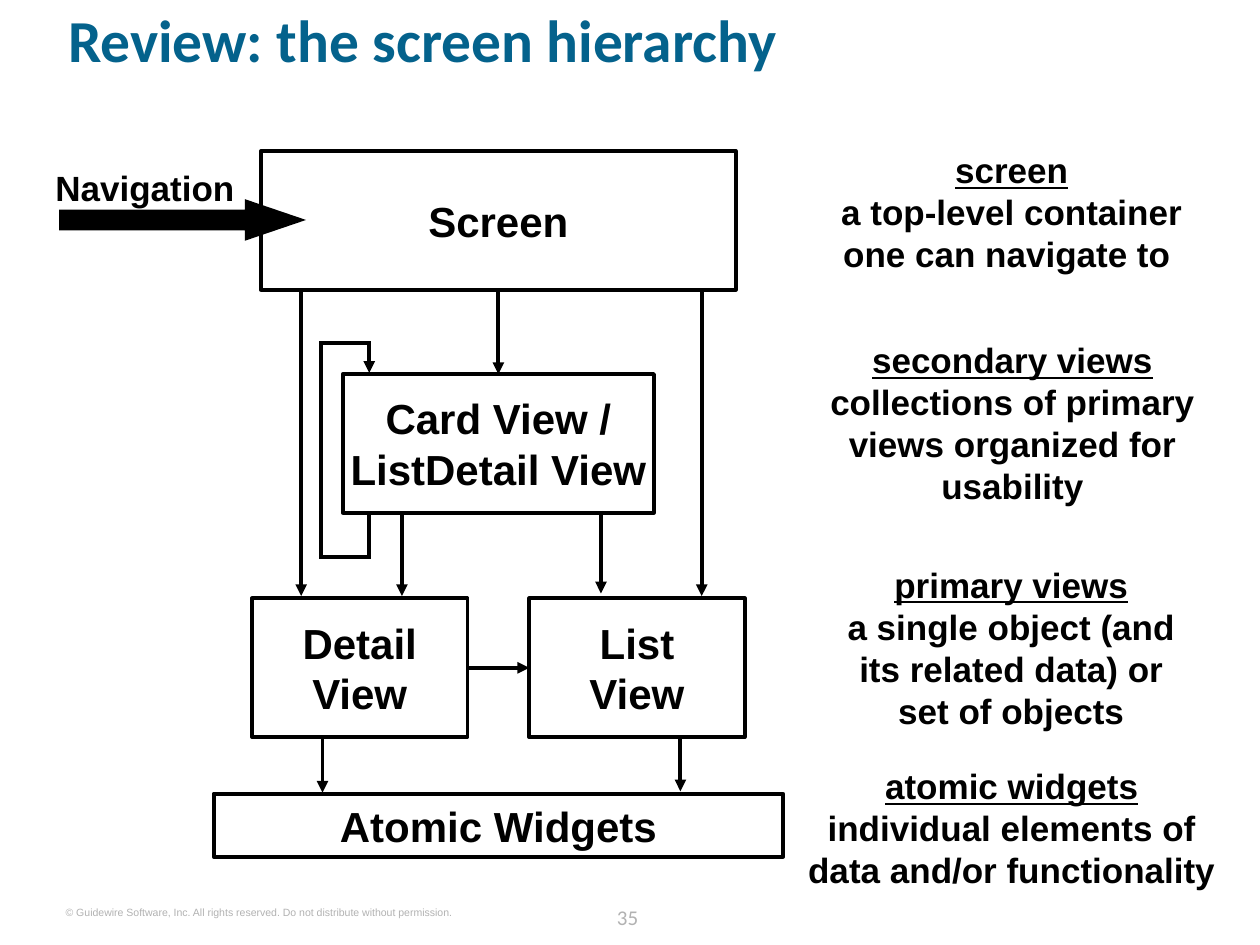
import itertools
from dataclasses import dataclass

import pptx
import pptx.util
from pptx.dml.color import RGBColor
from pptx.enum.shapes import MSO_CONNECTOR, MSO_SHAPE
from pptx.enum.text import MSO_ANCHOR, PP_ALIGN
from pptx.oxml.xmlchemy import OxmlElement

Pt = pptx.util.Pt
TOP, LEFT, BOTTOM, RIGHT = range(4)


@dataclass(frozen=True)
class Theme:
    ink: RGBColor = RGBColor(0x00, 0x00, 0x00)
    title: RGBColor = RGBColor(0x04, 0x62, 0x8C)
    muted: RGBColor = RGBColor(0xB2, 0xB2, 0xB2)
    heading_font: str = "Calibri"
    body_font: str = "Arial"
    title_size: int = 34
    box_size: int = 24
    note_size: int = 20
    number_size: int = 12
    footer_size: int = 6
    line_width: float = 2.25


THEME = Theme()
AXIS = 284.8  # horizontal centre of the hierarchy
BOX_HEIGHT = 79.2
VIEW_WIDTH = 123.2
VIEW_OFFSET = 79.2  # from the axis to the centre of each primary view
VIEW_TOP = 342

NOTES = [  # left, top, width, height, term, definition lines
    (457.2, 85, 241.9, 72, "screen",
     ["a top-level container", "one can navigate to "]),
    (463.7, 193.7, 229.7, 95.8, "secondary views",
     ["collections of primary views organized for usability"]),
    (477.4, 321.8, 200.9, 95.8, "primary views",
     ["a single object (and its related data) or set of objects"]),
    (461.5, 437, 233.3, 72, "atomic widgets",
     ["individual elements of data and/or functionality"]),
]
VERTICAL_ARROWS = [  # x, from y, to y
    (172.1, 165.6, 340.6),
    (401, 165.6, 340.6),
    (229.7, 293, 340.6),
    (343.4, 292, 339.1),
    (184.3, 421.9, 452.9),
    (388.8, 421.9, 452.2),
]
CARD_LOOP = [(211, 293), (211, 318.2), (183.6, 318.2),
             (183.6, 195.8), (211, 195.8), (211, 213.1)]


def set_format(target, values):
    for name, value in values.items():
        setattr(target, name, value)


def set_font(font, size, color=THEME.ink, **values):
    set_format(font, {"size": Pt(size), "name": THEME.body_font, **values})
    font.color.rgb = color


def prepare_frame(frame, **values):
    set_format(frame, {"margin_left": 0, "margin_right": 0, "margin_top": 0,
                       "margin_bottom": 0, "word_wrap": True, **values})
    return frame.paragraphs[0]


def add_title(slide, text):
    title = slide.shapes.title
    set_format(title, {"left": Pt(38.9), "top": Pt(9.4),
                       "width": Pt(655.2), "height": Pt(58.3)})
    paragraph = prepare_frame(title.text_frame, vertical_anchor=MSO_ANCHOR.TOP)
    paragraph.text = text
    set_format(paragraph, {"alignment": PP_ALIGN.LEFT, "line_spacing": 0.8})
    set_font(paragraph.font, THEME.title_size, THEME.title,
             name=THEME.heading_font, bold=True)


def add_text(slide, bounds, text, size, color=THEME.ink,
             alignment=PP_ALIGN.CENTER, wrap=True, **font_values):
    box = slide.shapes.add_textbox(*map(Pt, bounds))
    paragraph = prepare_frame(box.text_frame, word_wrap=wrap)
    paragraph.text = text
    paragraph.alignment = alignment
    set_font(paragraph.font, size, color, **font_values)
    return paragraph


def add_note(slide, bounds, term, lines):
    """Add an underlined term with its definition below."""
    paragraph = add_text(slide, bounds, "", THEME.note_size, bold=True)
    for index, line in enumerate([term, *lines]):
        if index:
            paragraph.add_line_break()
        run = paragraph.add_run()
        run.text = line
        set_font(run.font, THEME.note_size, bold=True, underline=index == 0)


def add_box(slide, center, top, width, height, text):
    box = slide.shapes.add_shape(
        MSO_SHAPE.RECTANGLE, Pt(center - width / 2), Pt(top),
        Pt(width), Pt(height))
    box.shadow.inherit = False
    box.fill.background()
    box.line.color.rgb = THEME.ink
    box.line.width = Pt(THEME.line_width)
    paragraph = prepare_frame(box.text_frame,
                              vertical_anchor=MSO_ANCHOR.MIDDLE)
    paragraph.text = text
    paragraph.alignment = PP_ALIGN.CENTER
    set_font(paragraph.font, THEME.box_size, bold=True)
    return box


def add_line(slide, start, end, arrow=True):
    connector = slide.shapes.add_connector(
        MSO_CONNECTOR.STRAIGHT, *map(Pt, (*start, *end)))
    connector.line.color.rgb = THEME.ink
    connector.line.width = Pt(THEME.line_width)
    if arrow:
        head = OxmlElement("a:tailEnd")
        head.set("type", "triangle")
        connector.line._get_or_add_ln().append(head)
    else:
        connector.line._get_or_add_ln().set("cap", "sq")
    connector._element.spPr.append(OxmlElement("a:effectLst"))
    return connector


def join(slide, start_box, start_side, end_box, end_side):
    connector = add_line(slide, (0, 0), (0, 0))
    connector.begin_connect(start_box, start_side)
    connector.end_connect(end_box, end_side)


def add_path(slide, points):
    """Draw straight segments through the points, ending in an arrowhead."""
    for start, end in itertools.pairwise(points):
        add_line(slide, start, end, arrow=end == points[-1])


def add_navigation(slide):
    arrow = slide.shapes.add_shape(
        MSO_SHAPE.RIGHT_ARROW, Pt(33.8), Pt(113.8), Pt(141.1), Pt(23.8))
    arrow.shadow.inherit = False
    arrow.fill.solid()
    arrow.fill.fore_color.rgb = THEME.ink
    arrow.line.fill.background()
    arrow.adjustments[0] = 0.5
    arrow.adjustments[1] = 1.47
    add_text(slide, (25.9, 95, 113.8, 23.8), "Navigation",
             THEME.note_size, bold=True)


def add_hierarchy(slide):
    screen = add_box(slide, AXIS, 86.4, 271.4, BOX_HEIGHT, "Screen")
    card = add_box(slide, AXIS, 213.8, 177.8, BOX_HEIGHT,
                   "Card View / ListDetail View")
    detail, list_view = (
        add_box(slide, AXIS + offset, VIEW_TOP, VIEW_WIDTH, BOX_HEIGHT, text)
        for offset, text in ((-VIEW_OFFSET, "Detail\vView"),
                             (VIEW_OFFSET, "List\vView")))
    add_box(slide, AXIS, 453.6, 325.4, 36, "Atomic Widgets")
    join(slide, screen, BOTTOM, card, TOP)
    join(slide, detail, RIGHT, list_view, LEFT)
    for x, start_y, end_y in VERTICAL_ARROWS:
        add_line(slide, (x, start_y), (x, end_y))
    add_path(slide, CARD_LOOP)


def add_footer(slide):
    add_text(slide, (37.4, 517.7, 221, 7.2),
             "© Guidewire Software, Inc. All rights reserved. "
             "Do not distribute without permission.",
             THEME.footer_size, THEME.muted, PP_ALIGN.RIGHT, wrap=False)
    number = add_text(slide, (340.6, 513.4, 36, 18), "35", THEME.number_size,
                      THEME.muted, name=THEME.heading_font)
    number.line_spacing = Pt(18)


def main():
    presentation = pptx.Presentation()
    presentation.slide_width = Pt(720)
    presentation.slide_height = Pt(540)
    slide = presentation.slides.add_slide(presentation.slide_layouts[5])
    add_title(slide, "Review: the screen hierarchy")
    add_hierarchy(slide)
    add_navigation(slide)
    for *bounds, term, lines in NOTES:
        add_note(slide, bounds, term, lines)
    add_footer(slide)
    presentation.save("out.pptx")


if __name__ == "__main__":
    main()
